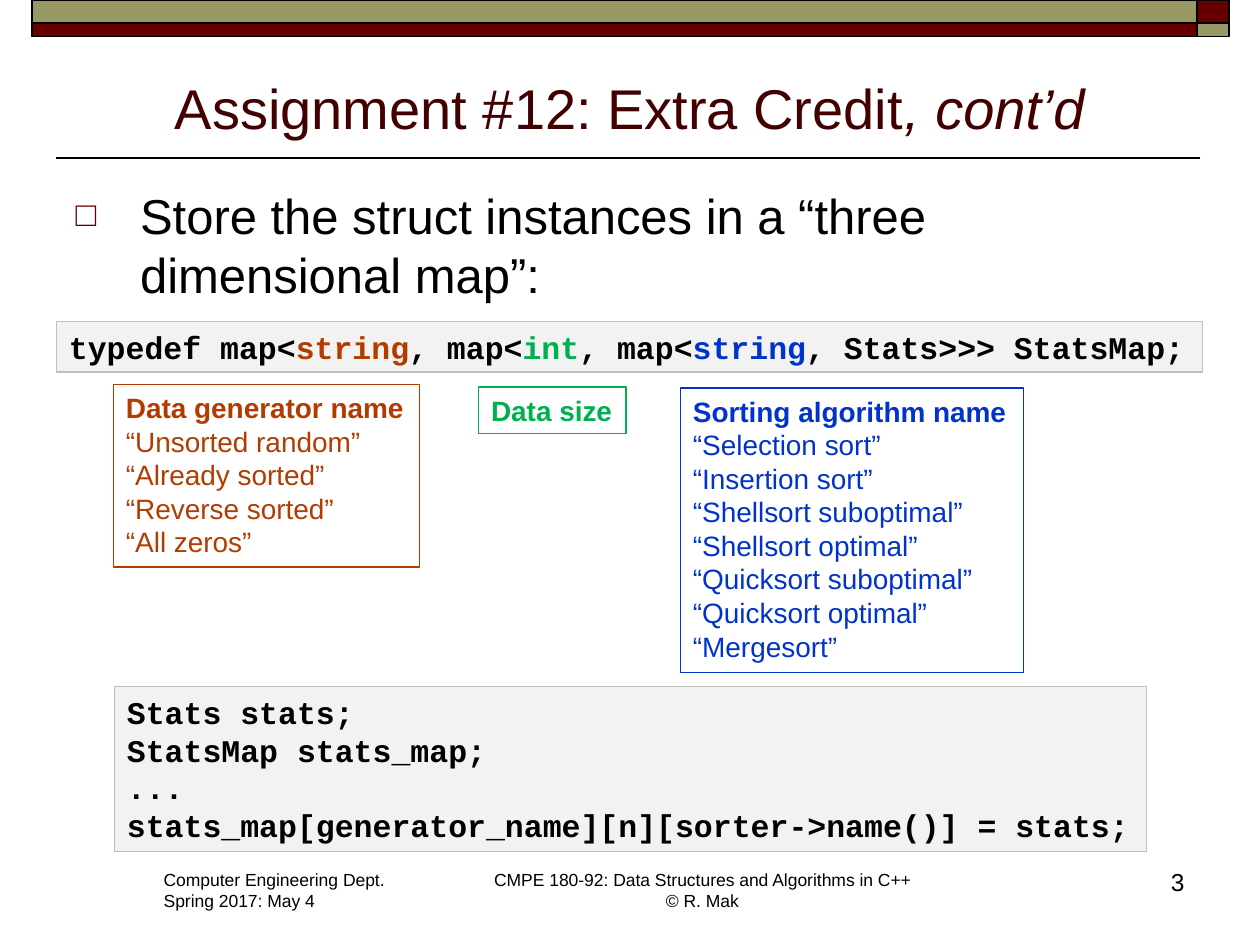
from dataclasses import dataclass
from itertools import product

from lxml.etree import SubElement
from pptx import Presentation
from pptx.dml.color import RGBColor
from pptx.enum.shapes import MSO_CONNECTOR, MSO_SHAPE
from pptx.enum.text import MSO_ANCHOR, MSO_AUTO_SIZE, PP_ALIGN
from pptx.oxml.ns import qn
from pptx.slide import Slide
from pptx.util import Cm, Pt

BLACK = "000000"
MAROON = "660000"
OLIVE = "999966"
RUST = "B23C00"
GREEN = "00B050"
BLUE = "0033CC"
CODE_FILL = "F2F2F2"
CODE_BORDER = "BFBFBF"


@dataclass(frozen=True)
class Frame:
    left: float
    top: float
    width: float
    height: float

    def lengths(self) -> tuple[Cm, Cm, Cm, Cm]:
        return Cm(self.left), Cm(self.top), Cm(self.width), Cm(self.height)


@dataclass(frozen=True)
class Piece:
    text: str
    color: str = BLACK


@dataclass(frozen=True)
class Caption:
    frame: Frame
    lines: tuple[str, ...]
    size: int = 10
    align: PP_ALIGN = PP_ALIGN.LEFT
    wrap: bool = False


@dataclass(frozen=True)
class KeyBox:
    frame: Frame
    color: str
    heading: str
    values: tuple[str, ...] = ()


@dataclass(frozen=True)
class CodeBox:
    frame: Frame
    lines: tuple[tuple[Piece, ...], ...]


CAPTIONS = (
    Caption(Frame(3.05, 17.4, 5.03, 1.12),
            ("Computer Engineering Dept.", "Spring 2017: May 4")),
    Caption(Frame(9.65, 17.4, 9.02, 1.12),
            ("CMPE 180-92: Data Structures and Algorithms in C++\v© R. Mak",),
            align=PP_ALIGN.CENTER),
    Caption(Frame(18.85, 17.35, 5.28, 1.27), ("3",), 14, PP_ALIGN.RIGHT, True),
)

KEY_BOXES = (
    KeyBox(Frame(13.72, 7.82, 6.91, 5.74), BLUE, "Sorting algorithm name",
           ("“Selection sort”", "“Insertion sort”", "“Shellsort suboptimal”",
            "“Shellsort optimal”", "“Quicksort suboptimal”",
            "“Quicksort optimal”", "“Mergesort”")),
    KeyBox(Frame(2.29, 7.75, 6.17, 3.68), RUST, "Data generator name",
           ("“Unsorted random”", "“Already sorted”", "“Reverse sorted”",
            "“All zeros”")),
    KeyBox(Frame(9.65, 7.8, 2.97, 0.94), GREEN, "Data size"),
)

CODE_BOXES = (
    CodeBox(Frame(1.14, 6.48, 23.11, 1.02), ((
        Piece("typedef map<"), Piece("string", RUST), Piece(", map<"),
        Piece("int", GREEN), Piece(", map<"), Piece("string", BLUE),
        Piece(", Stats>>> StatsMap;")),)),
    CodeBox(Frame(2.31, 13.84, 20.8, 3.33), (
        (Piece("Stats stats;"),),
        (Piece("StatsMap stats_map;"),),
        (Piece("..."),),
        (Piece("stats_map[generator_name][n][sorter->name()] = stats;"),))),
)


def rgb(color: str) -> RGBColor:
    return RGBColor.from_string(color)


def set_font(target, name: str, size: int, color: str, bold: bool = False) -> None:
    target.font.name = name
    target.font.size = Pt(size)
    target.font.bold = bold
    target.font.color.rgb = rgb(color)


def add_box(page: Slide, frame: Frame, wrap: bool = False):
    box = page.shapes.add_textbox(*frame.lengths())
    box.text_frame.word_wrap = wrap
    box.text_frame.auto_size = (
        MSO_AUTO_SIZE.NONE if wrap else MSO_AUTO_SIZE.SHAPE_TO_FIT_TEXT)
    return box


def outline(shape, color: str, width: float) -> None:
    shape.line.color.rgb = rgb(color)
    shape.line.width = Pt(width)


def draw_band(page: Slide) -> None:
    columns = ((0.64, 23.49), (24.13, 0.64))
    rows = ((0, 0.46), (0.46, 0.28))
    for (row, (top, height)), (column, (left, width)) in product(
            enumerate(rows), enumerate(columns)):
        bar = page.shapes.add_shape(
            MSO_SHAPE.RECTANGLE, *Frame(left, top, width, height).lengths())
        bar.shadow.inherit = False
        bar.fill.solid()
        bar.fill.fore_color.rgb = rgb(OLIVE if row == column else MAROON)
        outline(bar, BLACK, 1)


def draw_rule(page: Slide) -> None:
    rule = page.shapes.add_connector(
        MSO_CONNECTOR.STRAIGHT, Cm(24.2), Cm(3.18), Cm(1.12), Cm(3.18))
    outline(rule, BLACK, 1)
    SubElement(rule._element.spPr, qn("a:effectLst"))


def place(holder, frame: Frame, anchor: MSO_ANCHOR):
    holder.left, holder.top, holder.width, holder.height = frame.lengths()
    holder.text_frame.auto_size = MSO_AUTO_SIZE.NONE
    holder.text_frame.vertical_anchor = anchor
    return holder.text_frame.paragraphs[0]


def write_title(page: Slide) -> None:
    para = place(page.shapes.title, Frame(1.27, 1.14, 22.86, 1.83), MSO_ANCHOR.BOTTOM)
    para.alignment = PP_ALIGN.CENTER
    set_font(para, "Arial", 32, "420000")
    para.add_run().text = "Assignment #12: Extra Credit"
    ending = para.add_run()
    ending.text = ", cont’d"
    ending.font.italic = True


def write_body(page: Slide) -> None:
    para = place(page.placeholders[1], Frame(1.27, 3.61, 22.86, 2.62), MSO_ANCHOR.TOP)
    para.text = "Store the struct instances in a “three dimensional map”:"
    set_font(para, "Arial", 28, BLACK)
    properties = para._p.get_or_add_pPr()
    properties.set("marL", str(Cm(1.3)))
    properties.set("indent", str(-Cm(1.3)))
    bullet_parts = [
        SubElement(properties, qn("a:buClr")),
        SubElement(properties, qn("a:buSzPct"), val="70000"),
        SubElement(properties, qn("a:buChar"), char="□"),
    ]
    SubElement(bullet_parts[0], qn("a:srgbClr"), val=MAROON)
    default_font = properties.find(qn("a:defRPr"))
    properties.append(default_font)


def draw_caption(page: Slide, caption: Caption) -> None:
    frame = add_box(page, caption.frame, caption.wrap).text_frame
    frame.text = "\n".join(caption.lines)
    for para in frame.paragraphs:
        para.alignment = caption.align
        set_font(para, "Arial", caption.size, BLACK)


def draw_key_box(page: Slide, key: KeyBox) -> None:
    box = add_box(page, key.frame)
    outline(box, key.color, 0.75)
    box.text_frame.text = "\n".join((key.heading, *key.values))
    for index, para in enumerate(box.text_frame.paragraphs):
        set_font(para, "Arial", 16, key.color, bold=index == 0)


def draw_code_box(page: Slide, code: CodeBox) -> None:
    box = add_box(page, code.frame)
    box.fill.solid()
    box.fill.fore_color.rgb = rgb(CODE_FILL)
    outline(box, CODE_BORDER, 0.75)
    frame = box.text_frame
    frame.text = "\n" * (len(code.lines) - 1)
    for para, pieces in zip(frame.paragraphs, code.lines):
        set_font(para, "Courier New", 18, BLACK, bold=True)
        for piece in pieces:
            span = para.add_run()
            span.text = piece.text
            span.font.color.rgb = rgb(piece.color)


def main() -> None:
    deck = Presentation()
    deck.slide_width, deck.slide_height = Cm(25.4), Cm(19.05)
    page = deck.slides.add_slide(deck.slide_layouts[1])
    draw_rule(page)
    draw_band(page)
    write_title(page)
    write_body(page)
    for caption in CAPTIONS:
        draw_caption(page, caption)
    for code in CODE_BOXES:
        draw_code_box(page, code)
    for key in KEY_BOXES:
        draw_key_box(page, key)
    deck.save("out.pptx")


if __name__ == "__main__":
    main()
